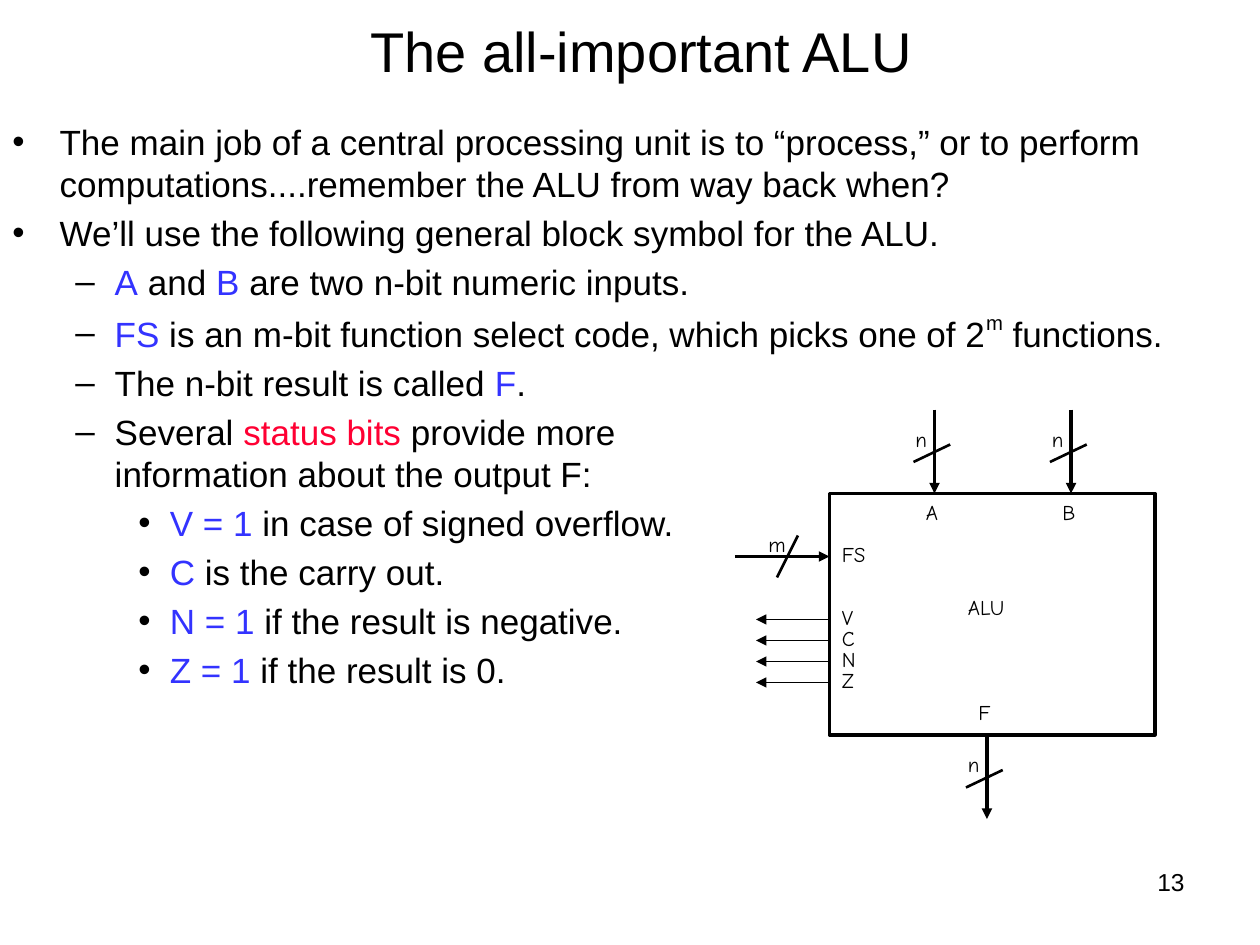
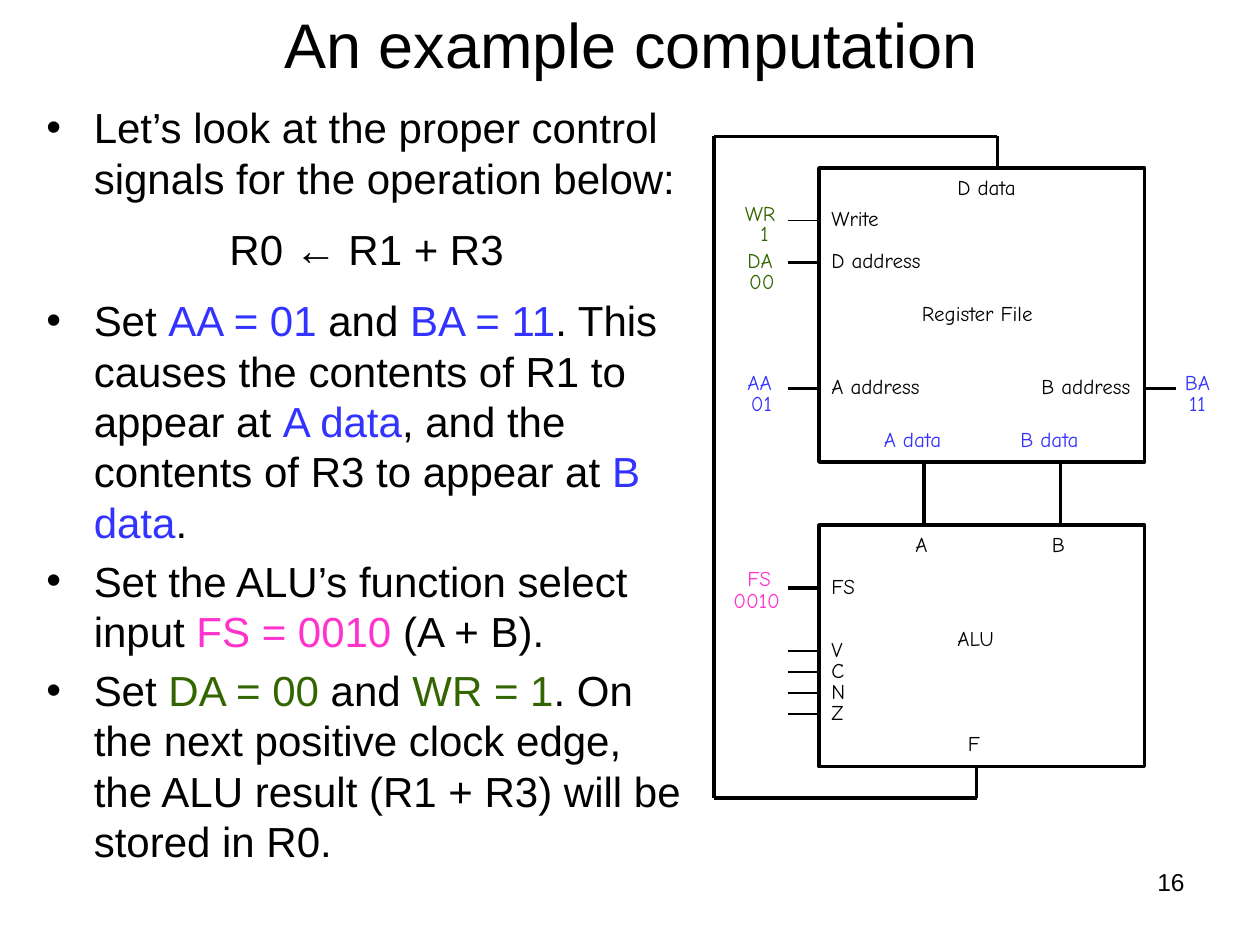
import pptx
import pptx.util
import pptx.dml.color
import pptx.enum.shapes
import pptx.enum.text
import pptx.oxml.ns
from lxml import etree

Pt = pptx.util.Pt
qn = pptx.oxml.ns.qn
ALIGN = pptx.enum.text.PP_ALIGN

THEME = {
    "black": "000000", "blue": "3333FF", "red": "FF0033",
    "pink": "FF33CC", "green": "336600",
    "font": "Arial", "hand": "Comic Neue",
    "note": 12, "page": 14,
    "thin": 1, "slash": 1.5, "bold": 2,
}

# Indents per level: left margin, first line offset, bullet
LEVELS = [(27, -27, "•"), (58.5, -22.5, "–"), (90, -18, "•")]

# Body lines: (level, kind, runs); a run is plain text or (text, colour)
SLIDES = [
    {
        "title": "The all-important ALU", "page": "13",
        "head": (42.5, 15, 648, 27.5, 32), "body": (0, 65.5, 700.5, 459.5, 20),
        "lines": [
            (0, "item", ["The main job of a central processing unit is to “process,” or to "
                         "perform computations....remember the ALU from way back when?"]),
            (0, "item", ["We’ll use the following general block symbol for the ALU."]),
            (1, "item", [("A", "blue"), " and ", ("B", "blue"), " are two n-bit numeric inputs."]),
            (1, "item", [("FS", "blue"), " is an m-bit function select code, which picks one of 2",
                         ("m", "super"), " functions."]),
            (1, "item", ["The n-bit result is called ", ("F", "blue"), "."]),
            (1, "item", ["Several ", ("status bits", "red"), " provide more"]),
            (1, "more", ["information about the output F:"]),
            (2, "item", [("V = 1", "blue"), " in case of signed overflow."]),
            (2, "item", [("C", "blue"), " is the carry out."]),
            (2, "item", [("N = 1", "blue"), " if the result is negative."]),
            (2, "item", [("Z = 1", "blue"), " if the result is 0."]),
        ],
    },
    {
        "title": "An example computation", "page": "16",
        "head": (36.5, 0, 648, 49.5, 36), "body": (19.5, 54.5, 380, 485.5, 24),
        "lines": [
            (0, "item", ["Let’s look at the proper control signals for the operation below:"]),
            (0, "mid", ["R0 ← R1 + R3"]),
            (0, "item", ["Set ", ("AA = 01", "blue"), " and ", ("BA = 11", "blue"),
                         ". This causes the contents of R1 to appear at ", ("A data", "blue"),
                         ", and the contents of R3 to appear at ", ("B data", "blue"), "."]),
            (0, "item", ["Set the ALU’s function select input ", ("FS = 0010", "pink"),
                         " (A + B)."]),
            (0, "item", ["Set ", ("DA = 00", "green"), " and ", ("WR = 1", "green"),
                         ". On the next positive clock edge, the ALU result (R1 + R3) "
                         "will be stored in R0."]),
        ],
    },
]

# Labels: text, left, top, width, colour; the first two sets are relative to their box
ALU = [
    ("A", 48, 0, 23, "black"), ("B", 126, 0, 22.5, "black"),
    ("ALU", 72, 54, 39, "black"), ("F", 78, 114, 21.5, "black"),
    ("FS", 0, 24, 30, "black"), ("V", 0, 60, 22.5, "black"),
    ("C", 0, 72, 21.5, "black"), ("N", 0, 84, 24.5, "black"),
    ("Z", 0, 96, 23, "black"),
]
REGS = [
    ("D data", 72, 0, 52, "black"), ("Write", 0, 18, 48, "black"),
    ("D address", 0, 42, 71, "black"), ("Register File", 51.8, 72, 86, "black"),
    ("A address", 0, 114, 71, "black"), ("B address", 120, 114, 70, "black"),
    ("A data", 30, 144, 52, "blue"), ("B data", 108, 144, 50.5, "blue"),
]
CODES = [
    ("WR", 418.5, 111, 34.5, "green"), ("1", 427.5, 122.5, 20, "green"),
    ("DA", 420, 138, 31.5, "green"), ("00", 421, 150, 29.5, "green"),
    ("AA", 420, 207.5, 31.5, "blue"), ("01", 422, 219.5, 27.5, "blue"),
    ("BA", 670, 207.5, 31, "blue"), ("11", 672.5, 219.5, 25, "blue"),
    ("FS", 420, 319.5, 30, "pink"), ("0010", 412, 332, 42, "pink"),
]
WIDE, ALU_H, REG_H = 186, 138, 168
PORT_A, PORT_B, PORT_F, PORT_D = 60, 138, 90, 102
FS_Y = 36
STATUS = [72 + 12 * i for i in range(4)]


def color(name):
    return pptx.dml.color.RGBColor.from_string(THEME[name])


def add_run(para, text, size, font, tint="black"):
    run = para.add_run()
    run.text = text
    run.font.size = Pt(size)
    run.font.name = font
    if tint == "super":
        run.font._element.set("baseline", "50000")
        tint = "black"
    run.font.color.rgb = color(tint)


def add_box(slide, x, y, w, h, wrap=True):
    frame = slide.shapes.add_textbox(Pt(x), Pt(y), Pt(w), Pt(h)).text_frame
    frame.word_wrap = wrap
    return frame


def add_label(slide, text, x, y, w, tint):
    frame = add_box(slide, x, y, w, 21.5, wrap=False)
    add_run(frame.paragraphs[0], text, THEME["note"], THEME["hand"], tint)


def add_wire(slide, x1, y1, x2, y2, width="bold", arrow=False):
    kind = pptx.enum.shapes.MSO_CONNECTOR.STRAIGHT
    wire = slide.shapes.add_connector(kind, Pt(x1), Pt(y1), Pt(x2), Pt(y2))
    wire.line.color.rgb = color("black")
    wire.line.width = Pt(THEME[width])
    if arrow:
        etree.SubElement(wire.line._get_or_add_ln(), qn("a:tailEnd"), type="triangle")
    etree.SubElement(wire._element.spPr, qn("a:effectLst"))


def add_block(slide, x, y, h, labels):
    kind = pptx.enum.shapes.MSO_SHAPE.RECTANGLE
    block = slide.shapes.add_shape(kind, Pt(x), Pt(y), Pt(WIDE), Pt(h))
    block.shadow.inherit = False
    block.fill.background()
    block.line.color.rgb = color("black")
    block.line.width = Pt(THEME["bold"])
    for text, dx, dy, w, tint in labels:
        add_label(slide, text, x + dx, y + dy, w, tint)


def add_bus(slide, x, y):
    """Downward n-bit arrow with its slash mark."""
    add_wire(slide, x, y, x, y + 48, arrow=True)
    add_wire(slide, x - 12, y + 30, x + 9, y + 20, "slash")
    add_label(slide, "n", x - 18, y + 6, 21, "black")


def add_line(para, level, kind, runs, size):
    left, first, mark = LEVELS[level]
    props = para._p.get_or_add_pPr()
    props.set("marL", str(Pt(left)))
    props.set("indent", str(Pt(0 if kind == "more" else first)))
    before, after = {"item": (0.2, 0), "mid": (0.5, 0.3), "more": (0, 0)}[kind]
    para.space_before = Pt(before * size)
    para.space_after = Pt(after * size)
    if kind == "item":
        tint = etree.SubElement(props, qn("a:buClr"))
        etree.SubElement(tint, qn("a:srgbClr"), val=THEME["black"])
        etree.SubElement(props, qn("a:buFont"), typeface=THEME["font"])
        etree.SubElement(props, qn("a:buChar"), char=mark)
    else:
        etree.SubElement(props, qn("a:buNone"))
    if kind == "mid":
        para.alignment = ALIGN.CENTER
    for part in runs:
        text, tint = (part, "black") if isinstance(part, str) else part
        add_run(para, text, size, THEME["font"], tint)


def add_text(slide, data):
    # Title
    *place, size = data["head"]
    frame = add_box(slide, *place)
    frame.vertical_anchor = pptx.enum.text.MSO_ANCHOR.MIDDLE
    frame.paragraphs[0].alignment = ALIGN.CENTER
    add_run(frame.paragraphs[0], data["title"], size, THEME["font"])
    # Body
    *place, size = data["body"]
    frame = add_box(slide, *place)
    for i, line in enumerate(data["lines"]):
        para = frame.add_paragraph() if i else frame.paragraphs[0]
        add_line(para, *line, size)
    # Page number
    frame = add_box(slide, 516, 492, 168, 37.5)
    frame.paragraphs[0].alignment = ALIGN.RIGHT
    add_run(frame.paragraphs[0], data["page"], THEME["page"], THEME["font"])


def draw_symbol(slide):
    x, y = 474, 282
    add_block(slide, x, y, ALU_H, ALU)
    for dx, dy in [(PORT_A, -48), (PORT_B, -48), (PORT_F, ALU_H)]:
        add_bus(slide, x + dx, y + dy)
    # Function select input
    add_wire(slide, x - 54, y + FS_Y, x, y + FS_Y, arrow=True)
    add_wire(slide, x - 18, y + 24, x - 30, y + 48, "slash")
    add_label(slide, "m", x - 42, y + 18, 24, "black")
    # Status outputs
    for dy in STATUS:
        add_wire(slide, x, y + dy, x - 42, y + dy, "thin", arrow=True)


def draw_path(slide):
    x, reg, alu = 468, 96, 300
    add_block(slide, x, reg, REG_H, REGS)
    add_block(slide, x, alu, ALU_H, ALU)
    for label in CODES:
        add_label(slide, *label)
    # Pins on the left side, then B address on the right
    pins = [(reg + 30, "thin"), (reg + 54, "bold"), (reg + 126, "bold"), (alu + FS_Y, "bold")]
    pins += [(alu + dy, "thin") for dy in STATUS]
    for y, width in pins:
        add_wire(slide, x - 18, y, x, y, width)
    add_wire(slide, x + WIDE, reg + 126, x + WIDE + 18, reg + 126)
    # Data from registers to ALU
    for dx in (PORT_A, PORT_B):
        add_wire(slide, x + dx, reg + REG_H, x + dx, alu)
    # Result loop from F back to D data
    top, low, side = reg - 18, alu + ALU_H + 18, x - 60
    loop = [(x + PORT_F, alu + ALU_H), (x + PORT_F, low), (side, low),
            (side, top), (x + PORT_D, top), (x + PORT_D, reg)]
    for start, end in zip(loop, loop[1:]):
        add_wire(slide, *start, *end)


def main():
    deck = pptx.Presentation()
    deck.slide_width, deck.slide_height = Pt(720), Pt(540)
    for data, draw in zip(SLIDES, (draw_symbol, draw_path)):
        slide = deck.slides.add_slide(deck.slide_layouts[6])
        add_text(slide, data)
        draw(slide)
    deck.save("out.pptx")


if __name__ == "__main__":
    main()
